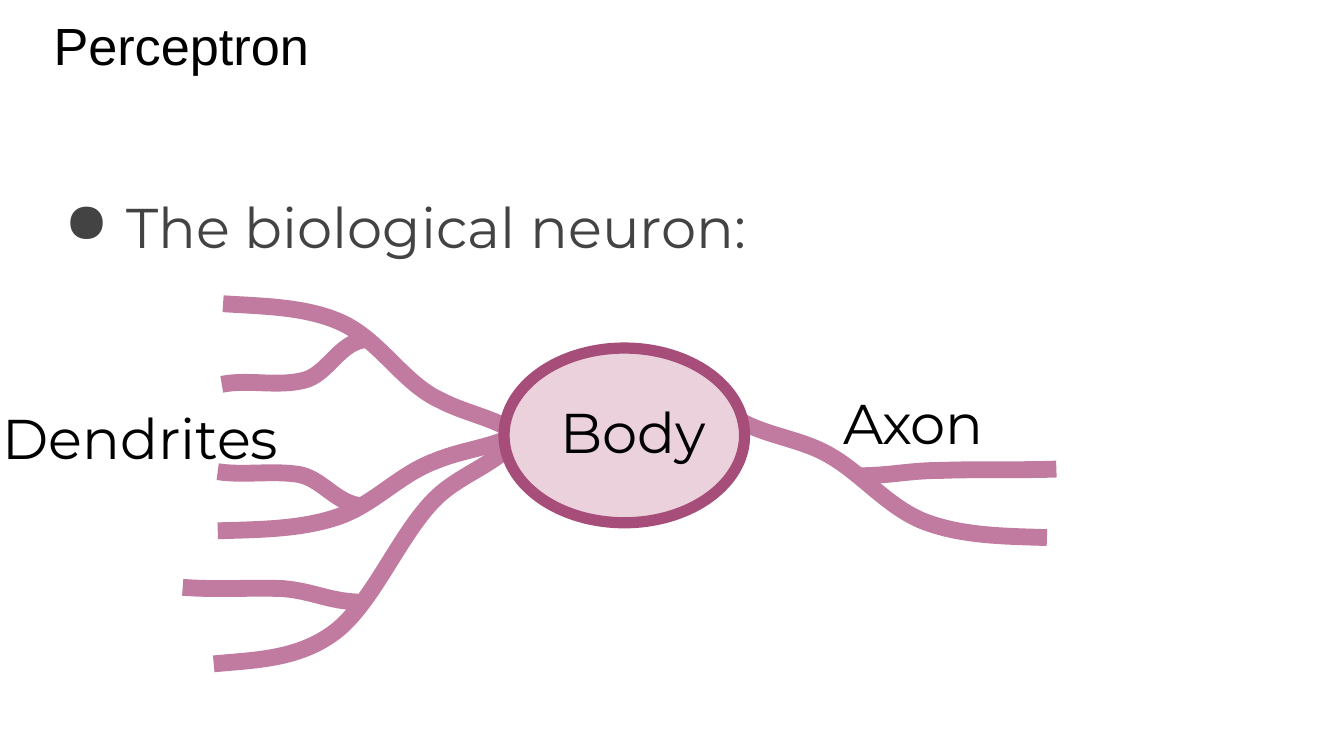
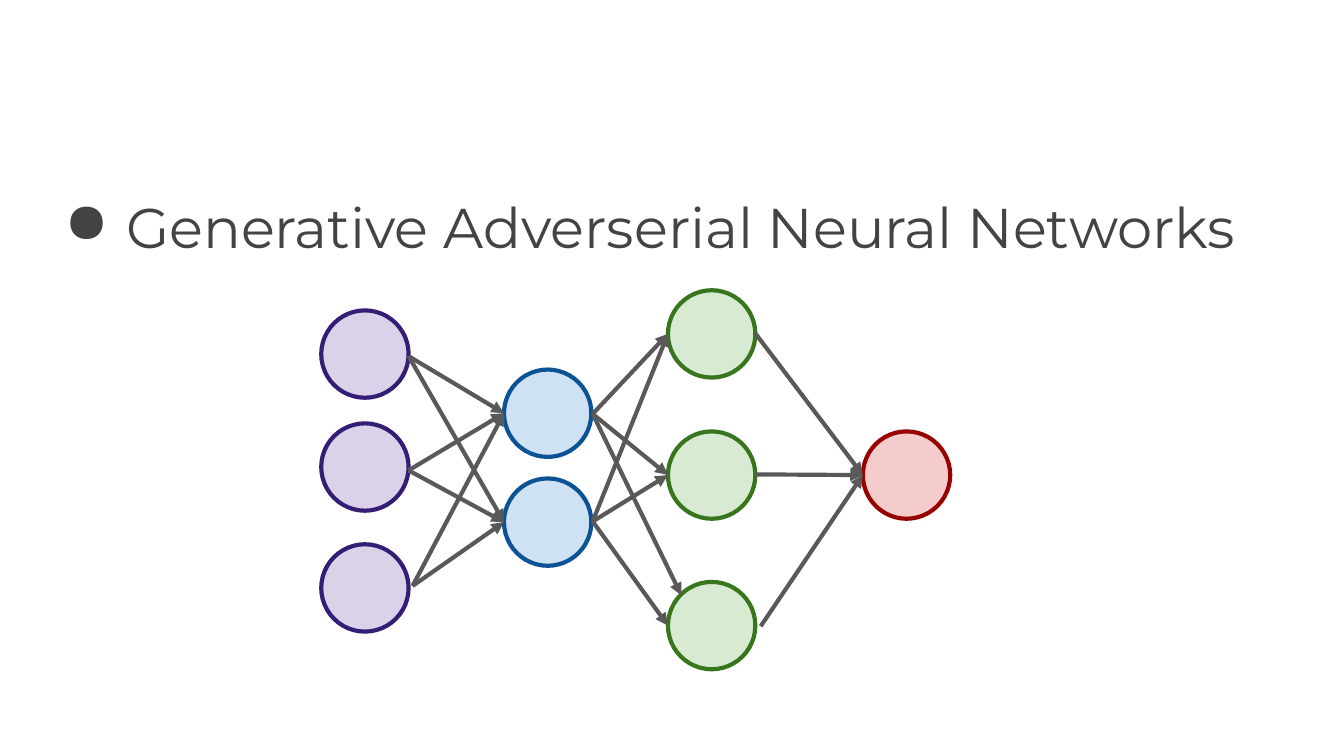
from itertools import product

from lxml import etree
from pptx import Presentation
from pptx import util as u
from pptx.dml.color import RGBColor
from pptx.enum import shapes, text
from pptx.oxml.ns import qn

BLACK = RGBColor(0x00, 0x00, 0x00)
BODY_GREY = RGBColor(0x43, 0x43, 0x43)
ARROW_GREY = RGBColor(0x59, 0x59, 0x59)
BRANCH_PINK = RGBColor(0xC2, 0x7B, 0xA0)
CELL_BODY_PINK = RGBColor(0xEA, 0xD1, 0xDC)
CELL_EDGE_PINK = RGBColor(0xA6, 0x4D, 0x79)
PURPLE, LIGHT_PURPLE = RGBColor(0x35, 0x1C, 0x75), RGBColor(0xD9, 0xD2, 0xE9)
BLUE, LIGHT_BLUE = RGBColor(0x0B, 0x53, 0x94), RGBColor(0xCF, 0xE2, 0xF3)
GREEN, LIGHT_GREEN = RGBColor(0x38, 0x76, 0x1D), RGBColor(0xD9, 0xEA, 0xD3)
RED, LIGHT_RED = RGBColor(0x99, 0x00, 0x00), RGBColor(0xF4, 0xCC, 0xCC)

# The slide is a grid of square units: 100 columns by 56.25 rows.
COLUMNS, ROWS = 100, 56.25
UNIT = u.Inches(0.1)


def grid(*lengths):
    """Turn grid units into slide lengths."""
    return [u.Emu(round(length * UNIT)) for length in lengths]


def add_text(slide, words, box, size=30, font="Montserrat", color=BLACK, bullet=None):
    frame = slide.shapes.add_textbox(*grid(*box)).text_frame
    frame.word_wrap = True
    frame.vertical_anchor = text.MSO_ANCHOR.TOP
    frame.margin_left = frame.margin_right = u.Inches(0.1)
    frame.margin_top = frame.margin_bottom = u.Inches(0.1)
    paragraph = frame.paragraphs[0]
    run = paragraph.add_run()
    run.text = words
    run.font.size = u.Pt(size)
    run.font.name = font
    run.font.color.rgb = color
    if bullet:
        paragraph.line_spacing = 1.15
        paragraph.space_after = u.Pt(16)
        properties = paragraph._p.get_or_add_pPr()
        properties.set("marL", str(u.Inches(0.5)))
        properties.set("indent", str(u.Inches(-0.46)))
        bullet_color = etree.SubElement(properties, qn("a:buClr"))
        etree.SubElement(bullet_color, qn("a:srgbClr"), val=str(color))
        etree.SubElement(properties, qn("a:buChar"), char=bullet)


presentation = Presentation()
presentation.slide_width, presentation.slide_height = grid(COLUMNS, ROWS)
blank_layout = presentation.slide_layouts[6]

# Both slides open with one bulleted statement.
neuron_slide, network_slide = [presentation.slides.add_slide(blank_layout) for _ in range(2)]
for slide, statement, width in [
    (neuron_slide, "The biological neuron:", 93.2),
    (network_slide, "Generative Adverserial Neural Networks", 96.1),
]:
    add_text(slide, statement, (3.4, 12.6, width, 37.4), color=BODY_GREY, bullet="●")

# Slide 1: each branch is a start point, then three points for every Bezier curve.
dendrites = [
    [(38.7, 32.4), (36.9, 31.1), (34.7, 30.8), (32.8, 29.8), (30.1, 28.6),
     (28.4, 25.5), (25.6, 24.1), (22.9, 22.8), (19.6, 22.8), (16.6, 22.6)],
    [(27, 25.3), (25.2, 25.6), (24.3, 27.9), (22.6, 28.3),
     (20.6, 28.8), (18.5, 28.2), (16.5, 28.6)],
    [(38.3, 32.4), (36.5, 33.3), (34.3, 33.5), (32.4, 34.3), (29.7, 35.3),
     (28, 37.4), (25.3, 38.4), (22.5, 39.4), (19.3, 39.4), (16.2, 39.5)],
    [(26.6, 37.6), (24.9, 37.3), (23.9, 35.6), (22.2, 35.3),
     (20.2, 35), (18.1, 35.4), (16.2, 35.1)],
    [(38.7, 32.4), (36.9, 34.6), (34.6, 35.1), (32.6, 36.9), (29.9, 39.4),
     (28, 44.4), (25.2, 46.8), (22.4, 49.1), (19, 49.1), (15.9, 49.4)],
    [(26.6, 44.8), (24.4, 44.7), (23.3, 44), (21.1, 43.8),
     (18.7, 43.7), (16.1, 43.9), (13.6, 43.7)],
]
axon = [
    [(54.9, 31.2), (56.7, 32.3), (59.1, 32.6), (61, 33.5), (63.8, 34.8),
     (65.6, 37.4), (68.5, 38.7), (71.4, 39.9), (74.8, 39.9), (77.9, 40)],
    [(63.8, 35.4), (66.3, 35.4), (67.6, 35), (70.1, 35),
     (72.8, 34.9), (75.8, 35), (78.6, 34.9)],
]
for branch in dendrites + axon:
    start, *controls = [grid(*point) for point in branch]
    builder = neuron_slide.shapes.build_freeform(*start)
    builder.add_line_segments(controls, close=False)
    shape = builder.convert_to_shape()
    shape.shadow.inherit = False
    shape.fill.background()
    shape.line.color.rgb = BRANCH_PINK
    shape.line.width = u.Pt(9)
    # Merge every three straight segments into one cubic curve.
    segments = shape._element.findall(".//" + qn("a:lnTo"))
    outline = segments[0].getparent()
    for first in range(0, len(segments), 3):
        curve = etree.SubElement(outline, qn("a:cubicBezTo"))
        for segment in segments[first:first + 3]:
            curve.append(segment[0])
            outline.remove(segment)

cell_body = neuron_slide.shapes.add_shape(
    shapes.MSO_SHAPE.OVAL, *grid(37.5, 25.9, 17.9, 13))
cell_body.shadow.inherit = False
cell_body.fill.solid()
cell_body.fill.fore_color.rgb = CELL_BODY_PINK
cell_body.line.color.rgb = CELL_EDGE_PINK
cell_body.line.width = u.Pt(6)

for label, left, top, width in [
    ("Axon", 61.8, 27.9, 17.4),
    ("Body", 40.7, 28.6, 17.4),
    ("Dendrites", -0.8, 29, 22.8),
]:
    add_text(neuron_slide, label, (left, top, width, 6.7))
add_text(neuron_slide, "Perceptron", (3, 0, 93.2, 6.3), size=28, font="Arial")

# Slide 2: layers as left edge, node tops, edge colour, fill colour, arrow starts.
NODE = 6.5
layers = [
    (23.9, [23.1, 31.5, 40.5], PURPLE, LIGHT_PURPLE,
     [(30.4, 26.5), (30.4, 35), (30.7, 43.6)]),
    (37.5, [27.5, 35.6], BLUE, LIGHT_BLUE, [(44.1, 30.8), (44.1, 38.8)]),
    (49.7, [21.6, 32.1, 43.3], GREEN, LIGHT_GREEN,
     [(56.2, 24.8), (56.2, 35.3), (56.6, 46.6)]),
    (64.2, [32.1], RED, LIGHT_RED, []),
]
for left, tops, edge_color, fill_color, _ in layers:
    for top in tops:
        node = network_slide.shapes.add_shape(
            shapes.MSO_SHAPE.OVAL, *grid(left, top, NODE, NODE))
        node.shadow.inherit = False
        node.fill.solid()
        node.fill.fore_color.rgb = fill_color
        node.line.color.rgb = edge_color
        node.line.width = u.Pt(2.25)

# Every node feeds all nodes of the next layer.
for source, target in zip(layers, layers[1:]):
    ends = [(target[0], top + NODE / 2) for top in target[1]]
    for start, end in product(source[4], ends):
        if start == layers[1][4][0] and end[1] > 45:
            end = (50.7, 44.3)  # the steepest arrow meets the node's upper left
        arrow = network_slide.shapes.add_connector(
            shapes.MSO_CONNECTOR.STRAIGHT, *grid(*start, *end))
        arrow.line.color.rgb = ARROW_GREY
        arrow.line.width = u.Pt(2.25)
        etree.SubElement(arrow.line._get_or_add_ln(), qn("a:tailEnd"), type="triangle")
        etree.SubElement(arrow._element.spPr, qn("a:effectLst"))

presentation.save("out.pptx")
